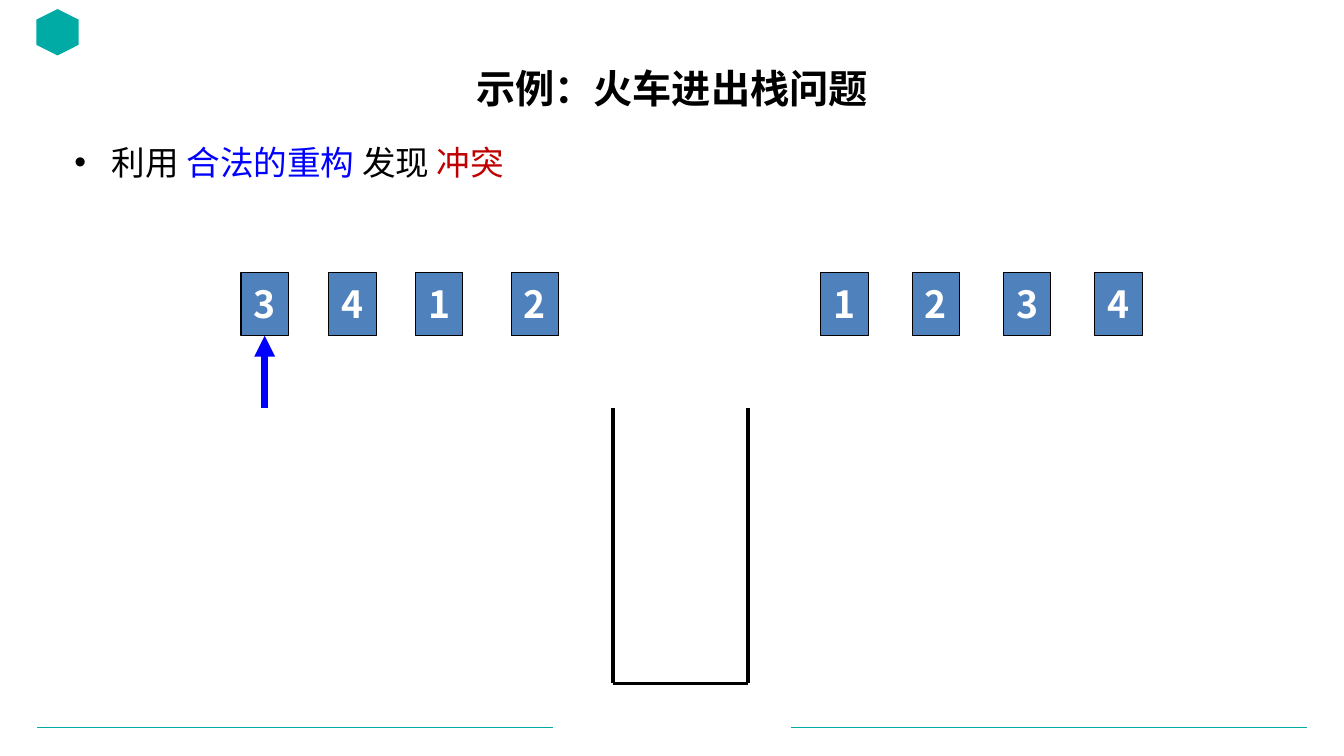
from dataclasses import dataclass

from pptx import Presentation
from pptx.dml.color import RGBColor
from pptx.enum.shapes import MSO_CONNECTOR, MSO_SHAPE
from pptx.enum.text import MSO_ANCHOR, PP_ALIGN
from pptx.oxml.ns import qn
from pptx.util import Inches, Pt

SLIDE_WIDTH, SLIDE_HEIGHT = Inches(13.33), Inches(7.5)


@dataclass(frozen=True)
class Theme:
    font: str = "Noto Sans CJK SC"
    black: str = "000000"
    white: str = "FFFFFF"
    teal: str = "00ABA5"
    wagon: str = "4F81BD"
    blue: str = "0000FF"
    red: str = "C00000"
    title_size: float = 28
    body_size: float = 24
    wagon_size: float = 26.7


THEME = Theme()

# All places are percentages of the slide's width and height.
WAGON_TOP, WAGON_WIDTH, WAGON_HEIGHT = 36, 3.53, 8.4
INCOMING = [("3", 17.93), ("4", 24.46), ("1", 30.91), ("2", 38.03)]
OUTGOING_LEFT, OUTGOING_PITCH = 61.07, 6.8
STACK_LEFT, STACK_RIGHT, STACK_TOP, STACK_BOTTOM = 45.61, 55.66, 54, 90.4
FOOTER_Y, FOOTER_START, FOOTER_END = 96.27, 2.78, 41.11


def across(percent):
    return round(SLIDE_WIDTH * percent / 100)


def down(percent):
    return round(SLIDE_HEIGHT * percent / 100)


def area(left, top, width, height):
    return across(left), down(top), across(width), down(height)


def style_run(run, size, color, bold=False):
    run.font.size = Pt(size)
    run.font.bold = bold
    run.font.name = THEME.font
    run.font.color.rgb = RGBColor.from_string(color)
    east_asian = run.font._element.makeelement(qn("a:ea"), {"typeface": THEME.font})
    run.font._element.find(qn("a:latin")).addnext(east_asian)


def add_line(slide, start, end, color, width):
    line = slide.shapes.add_connector(
        MSO_CONNECTOR.STRAIGHT,
        across(start[0]), down(start[1]), across(end[0]), down(end[1]))
    line.line.color.rgb = RGBColor.from_string(color)
    line.line.width = Pt(width)
    properties = line._element.spPr
    properties.append(properties.makeelement(qn("a:effectLst"), {}))
    return line


def add_filled(slide, preset, place, color):
    shape = slide.shapes.add_shape(preset, *area(*place))
    shape.shadow.inherit = False
    shape.fill.solid()
    shape.fill.fore_color.rgb = RGBColor.from_string(color)
    return shape


def add_wagon(slide, number, left):
    wagon = add_filled(slide, MSO_SHAPE.RECTANGLE,
                       (left, WAGON_TOP, WAGON_WIDTH, WAGON_HEIGHT), THEME.wagon)
    wagon.line.color.rgb = RGBColor.from_string(THEME.black)
    wagon.line.width = Pt(0.75)
    frame = wagon.text_frame
    frame.margin_left = frame.margin_right = 0
    frame.margin_top = frame.margin_bottom = 0
    frame.vertical_anchor = MSO_ANCHOR.MIDDLE
    frame.text = number
    frame.paragraphs[0].alignment = PP_ALIGN.CENTER
    style_run(frame.paragraphs[0].runs[0], THEME.wagon_size, THEME.white, bold=True)
    return wagon


def add_pointer(slide, wagon, left):
    """Blue arrow from below to the middle of the wagon's bottom side."""
    center = left + WAGON_WIDTH / 2
    pointer = add_line(slide, (center, STACK_TOP),
                       (center, WAGON_TOP + WAGON_HEIGHT), THEME.blue, 5)
    pointer.end_connect(wagon, 2)
    outline = pointer.line._get_or_add_ln()
    outline.append(outline.makeelement(qn("a:tailEnd"), {"type": "triangle"}))


def add_stack(slide):
    corners = [(STACK_LEFT, STACK_TOP), (STACK_LEFT, STACK_BOTTOM),
               (STACK_RIGHT, STACK_BOTTOM), (STACK_RIGHT, STACK_TOP)]
    for start, end in zip(corners, corners[1:]):
        add_line(slide, start, end, THEME.black, 2.25)


def set_title(slide, text):
    title = slide.shapes.title
    title.left, title.top, title.width, title.height = area(6.87, 8.27, 86.26, 7.6)
    frame = title.text_frame
    frame.vertical_anchor = MSO_ANCHOR.MIDDLE
    frame.text = text
    paragraph = frame.paragraphs[0]
    paragraph.alignment = PP_ALIGN.CENTER
    paragraph.line_spacing = 0.9
    style_run(paragraph.runs[0], THEME.title_size, THEME.black, bold=True)


def add_bullet(slide, pieces):
    body = slide.shapes.add_textbox(*area(4.8, 18.67, 90.7, 73.73))
    body.text_frame.word_wrap = True
    paragraph = body.text_frame.paragraphs[0]
    properties = paragraph._p.get_or_add_pPr()
    properties.set("marL", str(Inches(0.37)))
    properties.set("indent", str(-Inches(0.37)))
    for tag, attributes in (("a:buFont", {"typeface": "Arial"}),
                            ("a:buChar", {"char": "•"})):
        properties.append(properties.makeelement(qn(tag), attributes))
    paragraph.line_spacing = 0.9
    for text, color in pieces:
        run = paragraph.add_run()
        run.text = text
        style_run(run, THEME.body_size, color)


def add_frame(slide):
    """Footer rules on both sides and the plain corner mark."""
    for start, end in ((FOOTER_START, FOOTER_END),
                       (100 - FOOTER_END, 100 - FOOTER_START)):
        add_line(slide, (start, FOOTER_Y), (end, FOOTER_Y), THEME.teal, 0.5)
    mark = add_filled(slide, MSO_SHAPE.HEXAGON, (2.55, 1.47, 3.45, 5.6), THEME.teal)
    mark.rotation = 90
    mark.line.fill.background()


def main():
    presentation = Presentation()
    presentation.slide_width, presentation.slide_height = SLIDE_WIDTH, SLIDE_HEIGHT
    slide = presentation.slides.add_slide(presentation.slide_layouts[5])

    add_frame(slide)
    set_title(slide, "示例：火车进出栈问题")
    add_bullet(slide, [("利用 ", THEME.black), ("合法的重构", THEME.blue),
                       (" 发现 ", THEME.black), ("冲突", THEME.red)])
    add_stack(slide)
    incoming = [add_wagon(slide, number, left) for number, left in INCOMING]
    for position, number in enumerate("1234"):
        add_wagon(slide, number, OUTGOING_LEFT + position * OUTGOING_PITCH)
    add_pointer(slide, incoming[0], INCOMING[0][1])

    presentation.save("out.pptx")


if __name__ == "__main__":
    main()
